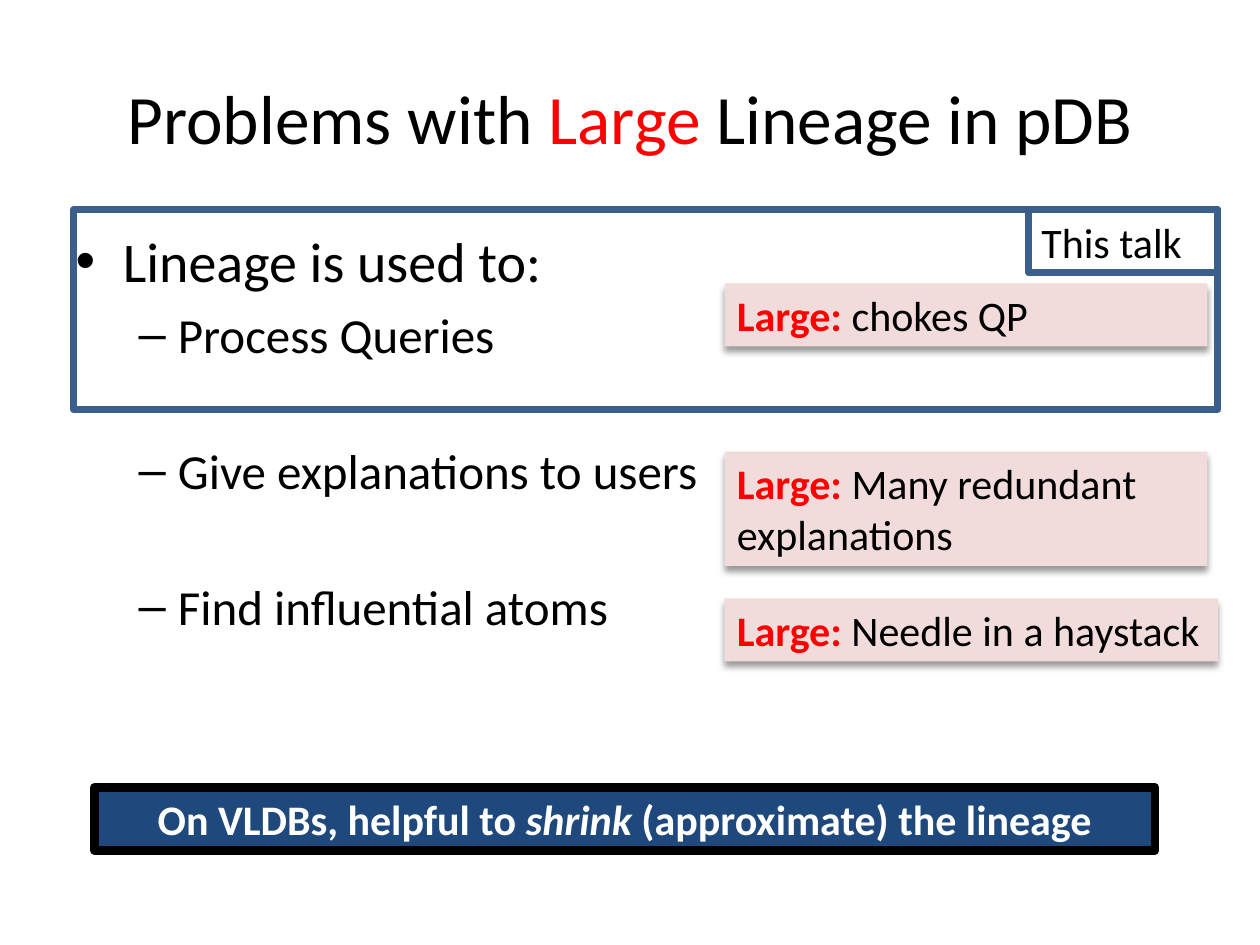
import lxml.etree
import pptx
import pptx.dml.color
import pptx.enum.shapes
import pptx.enum.text
import pptx.oxml.ns
import pptx.util

RGBColor = pptx.dml.color.RGBColor
BLACK = RGBColor(0x00, 0x00, 0x00)
WHITE = RGBColor(0xFF, 0xFF, 0xFF)
RED = RGBColor(0xFF, 0x00, 0x00)
NAVY = RGBColor(0x1F, 0x49, 0x7D)
PINK = RGBColor(0xF2, 0xDC, 0xDB)
FRAME_BLUE = RGBColor(0x3A, 0x5F, 0x8C)

EMU_PER_PX = pptx.util.Inches(1) // 120
LEFT = pptx.enum.text.PP_ALIGN.LEFT
CENTER = pptx.enum.text.PP_ALIGN.CENTER


class SlideBuilder:
    FONT = "Calibri"

    def __init__(self, slide):
        self.slide = slide

    def place(self, shape, box):
        for name, px in zip(("left", "top", "width", "height"), box):
            setattr(shape, name, px * EMU_PER_PX)

    def add_runs(self, paragraph, runs, size, align=LEFT):
        """Fill a paragraph from (text, color, font formats) runs."""
        paragraph.alignment = align
        for text, color, formats in runs:
            run = paragraph.add_run()
            run.text = text
            run.font.color.rgb = color
            values = {"name": self.FONT, "size": pptx.util.Pt(size), **formats}
            for name, value in values.items():
                setattr(run.font, name, value)

    def title(self, box, runs, size):
        title = self.slide.shapes.title
        self.place(title, box)
        self.add_runs(title.text_frame.paragraphs[0], runs, size, CENTER)

    def bullets(self, box, items):
        """Fill the body from (text, level, size, space before) items."""
        body = self.slide.placeholders[1]
        self.place(body, box)
        frame = body.text_frame
        for index, (text, level, size, space) in enumerate(items):
            paragraph = frame.add_paragraph() if index else frame.paragraphs[0]
            paragraph.level = level
            paragraph.space_before = pptx.util.Pt(space)
            self.add_runs(paragraph, [(text, BLACK, {})], size)

    def rectangle(self, box, runs=(), fill=None, line=None, align=LEFT):
        shape = self.slide.shapes.add_shape(
            pptx.enum.shapes.MSO_SHAPE.RECTANGLE, 0, 0, 0, 0)
        self.place(shape, box)
        shape.shadow.inherit = False
        if fill is None:
            shape.fill.background()
        else:
            shape.fill.solid()
            shape.fill.fore_color.rgb = fill
        if line is None:
            shape.line.fill.background()
        else:
            color, width = line
            shape.line.color.rgb = color
            shape.line.width = pptx.util.Pt(width)
        if runs:
            frame = shape.text_frame
            formats = {
                "word_wrap": True,
                "vertical_anchor": pptx.enum.text.MSO_ANCHOR.TOP,
                "auto_size": pptx.enum.text.MSO_AUTO_SIZE.SHAPE_TO_FIT_TEXT,
            }
            for name, value in formats.items():
                setattr(frame, name, value)
            self.add_runs(frame.paragraphs[0], runs, 24, align)
        return shape

    def drop_shadow(self, shape):
        qn = pptx.oxml.ns.qn
        effects = shape._element.spPr.find(qn("a:effectLst"))
        shadow = lxml.etree.SubElement(
            effects, qn("a:outerShdw"), blurRad=str(pptx.util.Pt(4)),
            dist=str(pptx.util.Pt(3)), dir="5400000", rotWithShape="0")
        color = lxml.etree.SubElement(shadow, qn("a:srgbClr"), val=str(BLACK))
        lxml.etree.SubElement(color, qn("a:alpha"), val="40000")

    def problem_note(self, box, problem):
        runs = [("Large: ", RED, {"bold": True}), (problem, BLACK, {})]
        self.drop_shadow(self.rectangle(box, runs, fill=PINK))


def main():
    presentation = pptx.Presentation()
    presentation.slide_width = pptx.util.Inches(10)
    presentation.slide_height = pptx.util.Inches(7.5)
    builder = SlideBuilder(
        presentation.slides.add_slide(presentation.slide_layouts[1]))

    builder.title((60, 36, 1080, 150), [
        ("Problems with ", BLACK, {}),
        ("Large", RED, {}),
        (" Lineage in pDB", BLACK, {}),
    ], 39.6)
    builder.bullets((60, 210, 1080, 594), [
        ("Lineage is used to:", 0, 32, 0),
        ("Process Queries", 1, 28, 6),
        ("Give explanations to users", 1, 28, 44),
        ("Find influential atoms", 1, 28, 44),
    ])

    bold = {"bold": True}
    builder.rectangle((90, 750, 1010, 60), [
        ("On VLDBs, helpful to ", WHITE, bold),
        ("shrink", WHITE, {"bold": True, "italic": True}),
        (" (approximate) the lineage", WHITE, bold),
    ], fill=NAVY, line=(BLACK, 5), align=CENTER)

    for top, width, height, problem in (
        (430, 460, 109, "Many redundant explanations"),
        (270, 460, 60, "chokes QP"),
        (570, 470, 60, "Needle in a haystack"),
    ):
        builder.problem_note((690, top, width, height), problem)

    talk_line = (FRAME_BLUE, 4)
    builder.rectangle((70, 200, 1090, 190), line=talk_line)
    builder.rectangle((980, 200, 180, 60), [("This talk", BLACK, {})],
                      line=talk_line)

    presentation.save("out.pptx")


if __name__ == "__main__":
    main()
